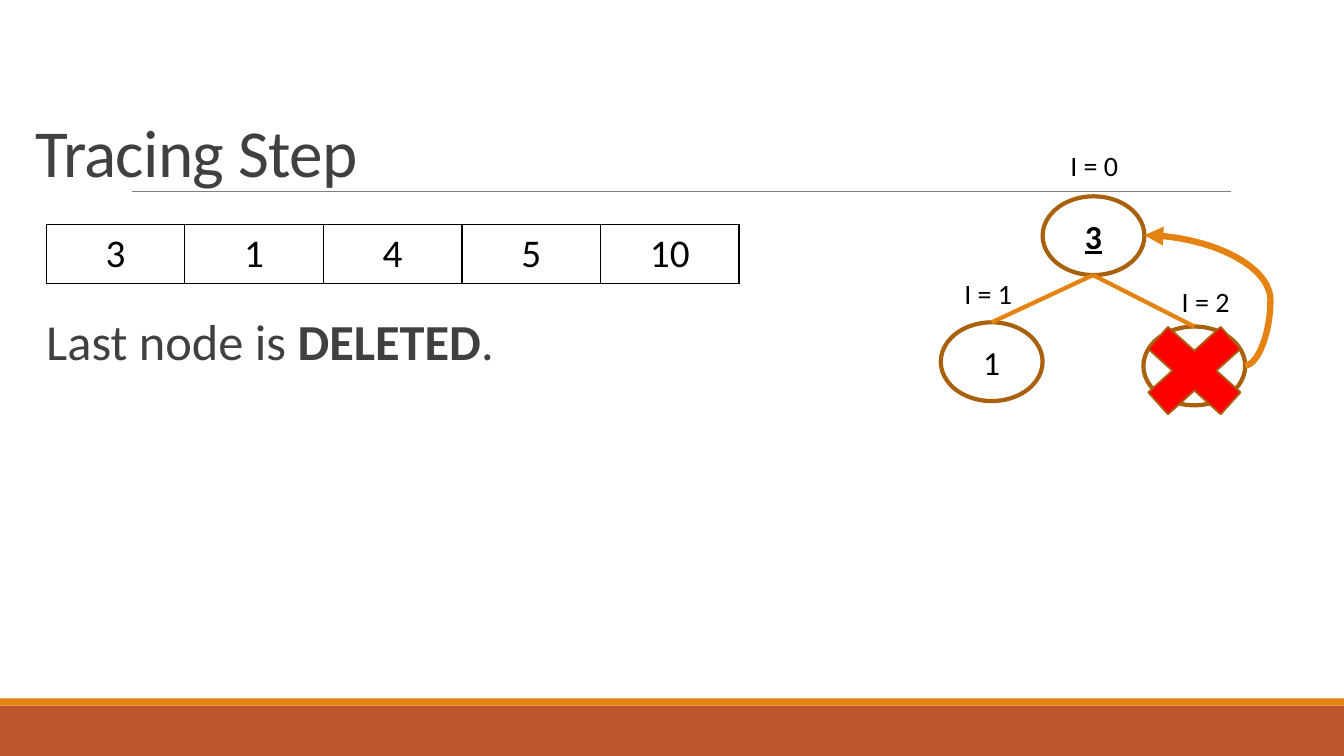
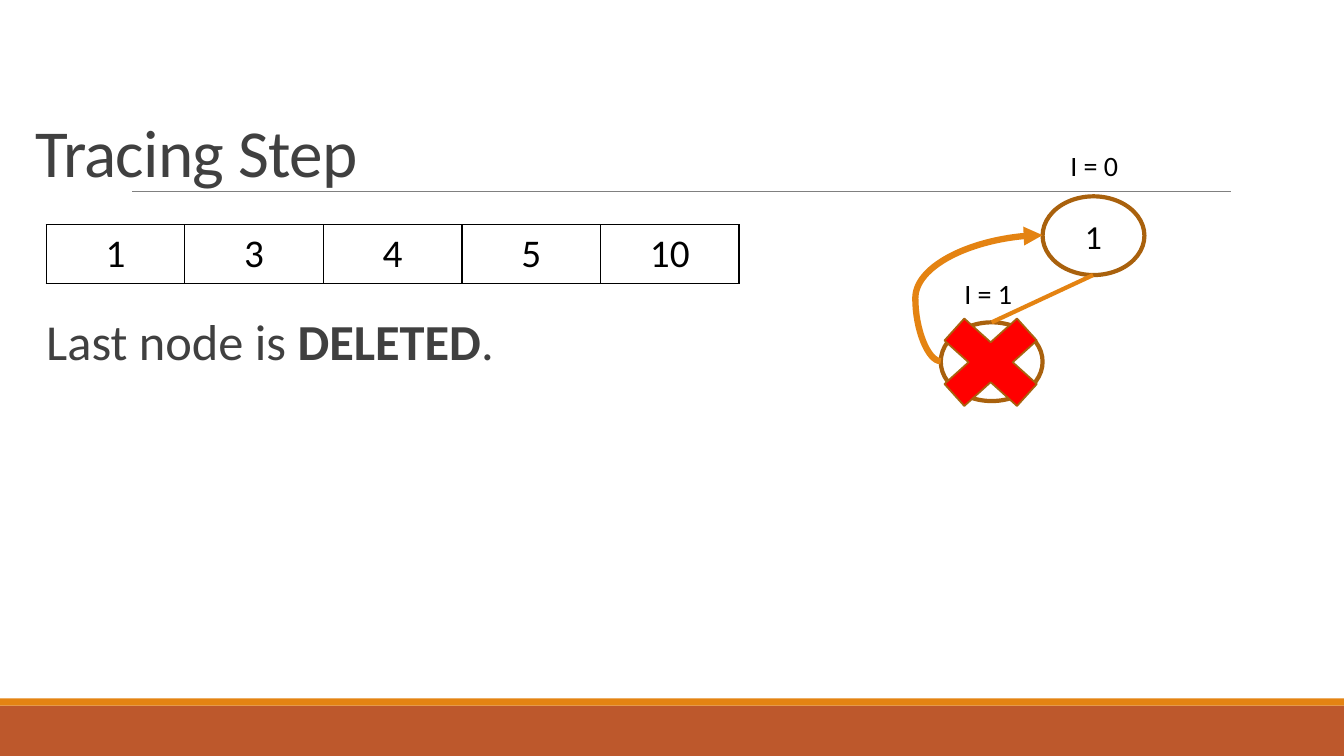
from pptx import Presentation
from pptx.dml.color import RGBColor
from pptx.enum.shapes import MSO_CONNECTOR, MSO_SHAPE
from pptx.enum.text import MSO_ANCHOR, MSO_AUTO_SIZE, PP_ALIGN
from pptx.oxml.ns import qn
from pptx.oxml.xmlchemy import OxmlElement
from pptx.util import Pt

RECT, ELLIPSE, CROSS = MSO_SHAPE.RECTANGLE, MSO_SHAPE.OVAL, MSO_SHAPE.MATH_MULTIPLY
STRAIGHT, CURVE = MSO_CONNECTOR.STRAIGHT, MSO_CONNECTOR.CURVE
LEFT, CENTER = PP_ALIGN.LEFT, PP_ALIGN.CENTER
TOP, MIDDLE, BOTTOM = MSO_ANCHOR.TOP, MSO_ANCHOR.MIDDLE, MSO_ANCHOR.BOTTOM
NO_FIT = MSO_AUTO_SIZE.NONE

PX = 9525
FONT = "Calibri"
BLACK, GRAY, RULE = "000000", "404040", "808080"
BRICK, ORANGE, BROWN, RED = "BD582C", "E48312", "A9610D", "FF0000"
NODE_W, NODE_H = 97, 75


def px(*lengths):
    return [length * PX for length in lengths]


def paint(color_format, color):
    color_format.rgb = RGBColor.from_string(color)


def add_xml(parent, tag, **attributes):
    child = OxmlElement(tag)
    for key, value in attributes.items():
        child.set(key, str(value))
    parent.append(child)
    return child


def write(frame, *parts, size, color=BLACK, align=LEFT, anchor=TOP, strong=(),
          underline=False, spacing=None, before=0, after=0, tracking=0):
    frame.word_wrap = True
    frame.vertical_anchor = anchor
    paragraph = frame.paragraphs[0]
    paragraph.alignment = align
    paragraph.line_spacing = spacing
    paragraph.space_before, paragraph.space_after = Pt(before), Pt(after)
    for part in parts:
        run = paragraph.add_run()
        run.text = part
        run.font.name, run.font.size = FONT, Pt(size)
        run.font.bold, run.font.underline = part in strong, underline
        paint(run.font.color, color)
        if tracking:
            run.font._element.set("spc", str(tracking))
    return paragraph


class Deck:
    def __init__(self):
        self.presentation = Presentation()
        self.presentation.slide_width, self.presentation.slide_height = px(1280, 720)
        self.layout = self.presentation.slide_layouts[1]
        self.slide = None
        for footer in list(self.layout.placeholders)[2:]:
            footer._element.getparent().remove(footer._element)

    def start_slide(self):
        first = self.slide is None
        self.slide = self.presentation.slides.add_slide(self.layout)
        if first:
            self.share_frame()

    def share_frame(self):
        frame = [
            self.shape(RECT, 0, 672, 1280, 48, fill=BRICK),
            self.shape(RECT, 0, 665, 1280, 7, fill=ORANGE),
            self.connector(STRAIGHT, (126, 182), (1172, 182), RULE, 0.5),
        ]
        for part in frame:
            self.layout.shapes._spTree.append(part._element)

    def place(self, placeholder, *box):
        placeholder.left, placeholder.top, placeholder.width, placeholder.height = px(*box)
        placeholder.text_frame.auto_size = NO_FIT
        return placeholder.text_frame

    def title(self, text):
        frame = self.place(self.slide.shapes.title, 24, 35, 1056, 152)
        write(frame, text, size=48, color=GRAY, anchor=BOTTOM, spacing=0.85, tracking=-50)

    def body(self, *parts, strong):
        frame = self.place(self.slide.placeholders[1], 44, 297, 726, 368)
        frame.margin_left = frame.margin_right = 0
        paragraph = write(frame, *parts, size=36, color=GRAY, strong=strong,
                          spacing=0.9, before=12, after=2)
        properties = paragraph._p.get_or_add_pPr()
        properties.set("marL", "0")
        properties.set("indent", "0")
        add_xml(properties, "a:buNone")

    def array(self, values):
        table = self.slide.shapes.add_table(
            1, len(values), *px(44, 214, 132 * len(values), 56)).table
        table.first_row = table.horz_banding = False
        for cell, value in zip(table.iter_cells(), values):
            write(cell.text_frame, str(value), size=28, align=CENTER)
            properties = cell._tc.get_or_add_tcPr()
            for side in ("a:lnL", "a:lnR", "a:lnT", "a:lnB"):
                border = add_xml(properties, side, w=Pt(1))
                add_xml(add_xml(border, "a:solidFill"), "a:srgbClr", val=BLACK)
            add_xml(properties, "a:noFill")

    def shape(self, preset, *box, fill=None, line=None, weight=1):
        shape = self.slide.shapes.add_shape(preset, *px(*box))
        shape.shadow.inherit = False
        if fill:
            shape.fill.solid()
            paint(shape.fill.fore_color, fill)
        else:
            shape.fill.background()
        if line:
            paint(shape.line.color, line)
            shape.line.width = Pt(weight)
        else:
            shape.line.fill.background()
        return shape

    def node(self, spot, value, moved=False):
        node = self.shape(ELLIPSE, *spot, NODE_W, NODE_H, line=BROWN, weight=3)
        write(node.text_frame, str(value), size=24, align=CENTER, anchor=MIDDLE,
              strong=(str(value),) if moved else (), underline=moved)
        return node

    def label(self, left, top, index):
        box = self.slide.shapes.add_textbox(*px(left, top, 70, 42))
        write(box.text_frame, f"I = {index}", size=20)

    def connector(self, kind, start, end, color, weight):
        connector = self.slide.shapes.add_connector(kind, *px(*start, *end))
        paint(connector.line.color, color)
        connector.line.width = Pt(weight)
        add_xml(connector._element.spPr, "a:effectLst")
        return connector

    def edge(self, parent_spot, child_spot, child):
        start = (parent_spot[0] + NODE_W // 2, parent_spot[1] + NODE_H)
        end = (child_spot[0] + NODE_W // 2, child_spot[1])
        self.connector(STRAIGHT, start, end, ORANGE, 3).end_connect(child, 0)

    def move_arrow(self, child_spot, root_spot, right_side):
        start, end = [(left + NODE_W * right_side, top + NODE_H // 2)
                      for left, top in (child_spot, root_spot)]
        arrow = self.connector(CURVE, start, end, ORANGE, 4.5)
        add_xml(arrow.line._get_or_add_ln(), "a:tailEnd", type="triangle")
        guides = arrow._element.spPr.find(qn("a:prstGeom")).get_or_add_avLst()
        add_xml(guides, "a:gd", name="adj1", fmla="val -25000")

    def delete_mark(self, left, top):
        self.shape(CROSS, left, top, 133, 120, fill=RED, line=BROWN, weight=1.25)


SPOTS = [(993, 187), (896, 307), (1089, 311)]
LABELS = [(1010, 137), (909, 259), (1116, 266)]
STEPS = [
    {"array": [3, 1, 4, 5, 10], "heap": [3, 1, 4], "moved": (3, 4), "mark": (1071, 293)},
    {"array": [1, 3, 4, 5, 10], "heap": [1, 3], "moved": (3,), "mark": (877, 285)},
]


def main():
    deck = Deck()
    for step in STEPS:
        deck.start_slide()
        deck.title("Tracing Step")
        deck.array(step["array"])
        deck.body("Last node is ", "DELETED", ".", strong=("DELETED",))
        heap = step["heap"]
        nodes = [deck.node(spot, value, value in step["moved"])
                 for spot, value in zip(SPOTS, heap)]
        for spot, child in zip(SPOTS[1:], nodes[1:]):
            deck.edge(SPOTS[0], spot, child)
        for index in range(len(heap)):
            deck.label(*LABELS[index], index)
        last = len(heap) - 1
        deck.move_arrow(SPOTS[last], SPOTS[0], right_side=last == 2)
        deck.delete_mark(*step["mark"])
    deck.presentation.save("out.pptx")


if __name__ == "__main__":
    main()
